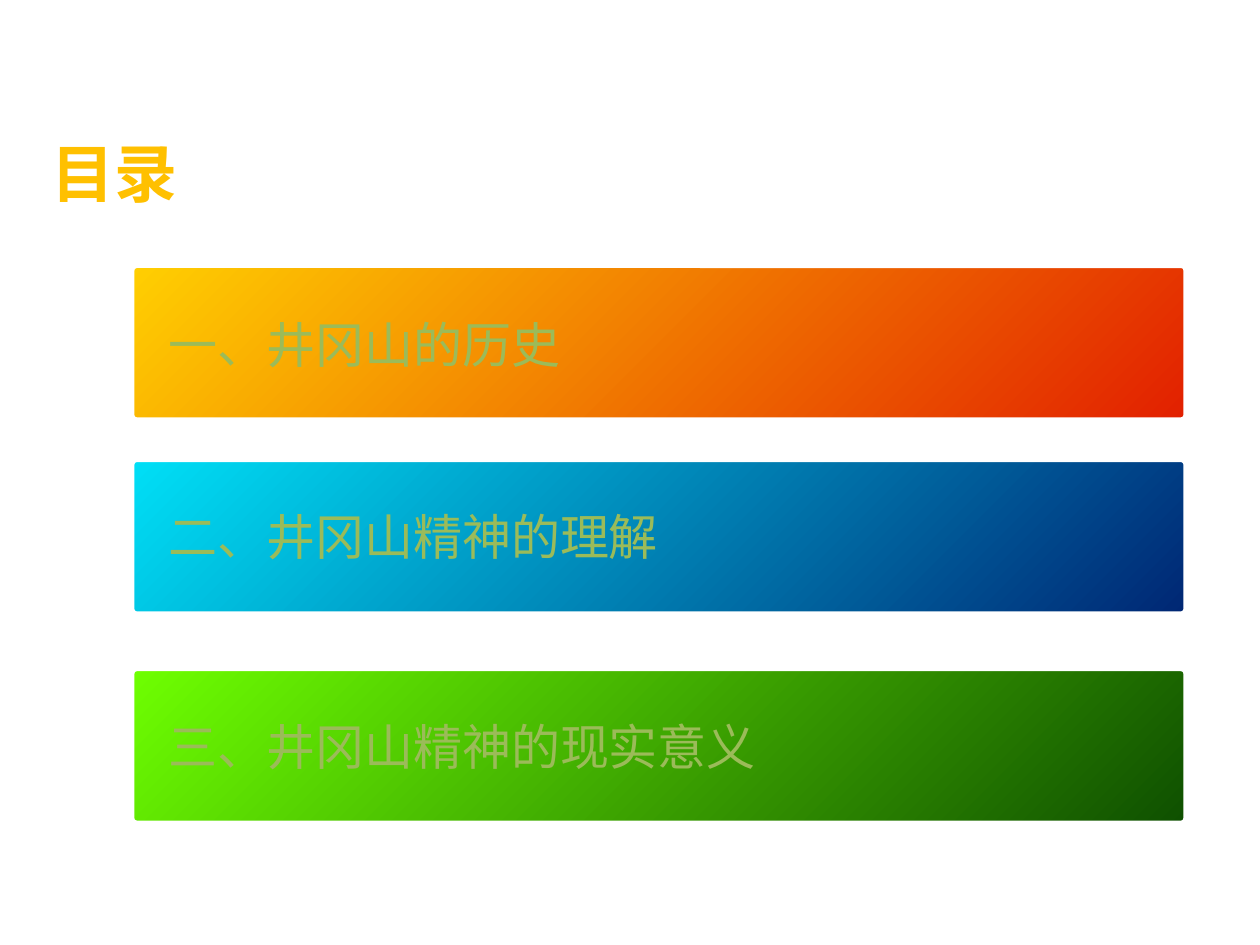
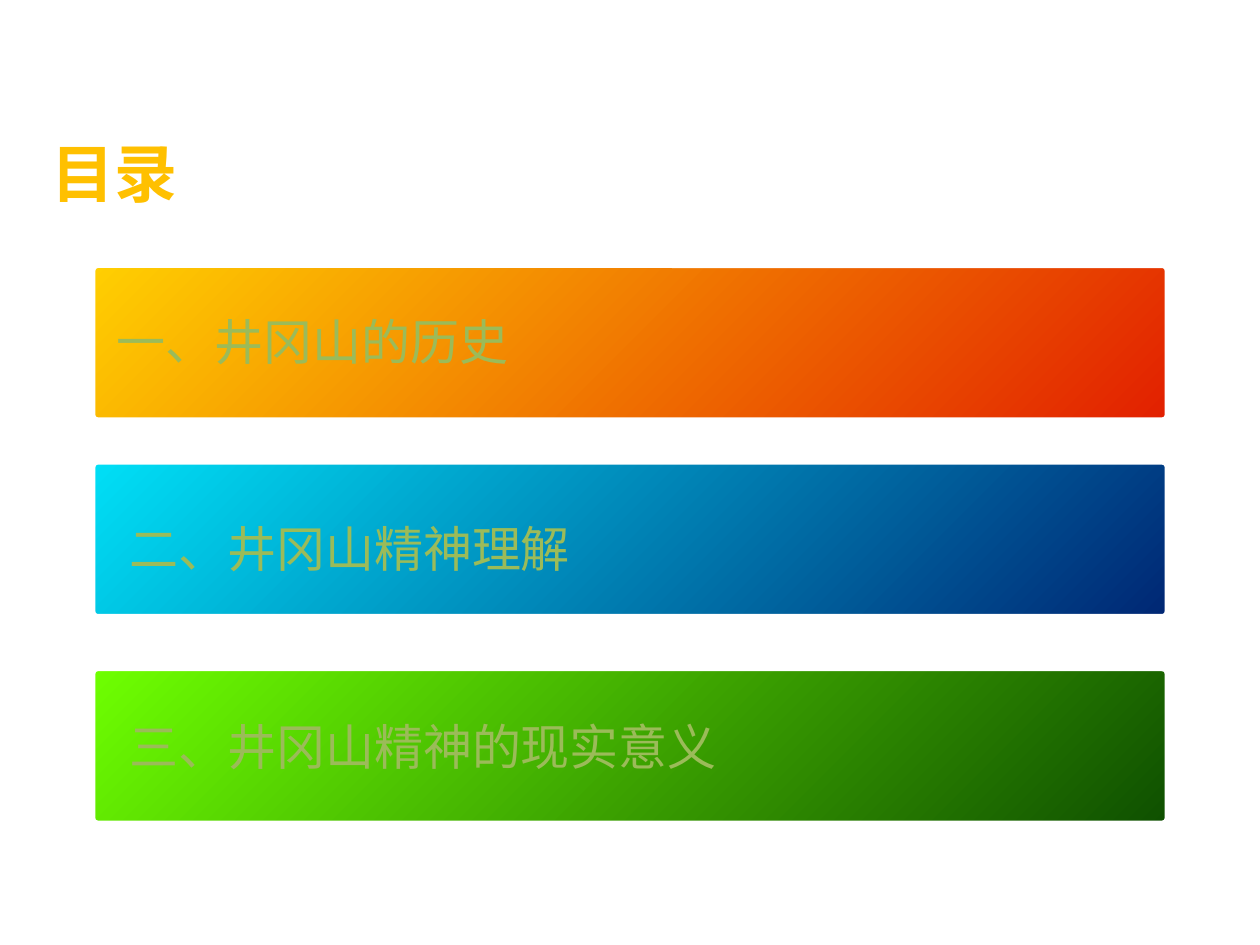
from lxml import etree
from pptx import Presentation
from pptx import util as u
from pptx.dml import color
from pptx.enum import shapes, text
from pptx.oxml import ns

FONT = "Noto Sans CJK SC"
BAND_HEIGHT = 1.22
GRADIENTS = [("FFCF01", "E22000"), ("00DFF6", "002774"), ("6EFF01", "0F5000")]
TITLE_FORMAT = {"size": u.Pt(36), "bold": True, "name": FONT}
ENTRY_FORMAT = {"size": u.Pt(28), "bold": False, "name": FONT}
FRAME_FORMAT = {
    "word_wrap": True,
    "auto_size": text.MSO_AUTO_SIZE.NONE,
    "vertical_anchor": text.MSO_ANCHOR.TOP,
}


def rgb(value):
    return color.RGBColor.from_string(value)


def write(box, wording, run_format, hex_color):
    for key, value in FRAME_FORMAT.items():
        setattr(box.text_frame, key, value)
    para = box.text_frame.paragraphs[0]
    para.alignment = text.PP_ALIGN.LEFT
    span = para.add_run()
    span.text = wording
    for key, value in run_format.items():
        setattr(span.font, key, value)
    span.font.color.rgb = rgb(hex_color)
    properties = span._r.get_or_add_rPr()
    etree.SubElement(properties, ns.qn("a:ea"), typeface=FONT)
    return properties


agendas = [
    {
        "left": 1.05,
        "width": 8.36,
        "text_width": 8.17,
        "entries": [
            ("一、井冈山的历史", 2.11, 1.24, 2.45, 0.59),
            ("二、井冈山精神的理解", 3.65, 1.24, 3.97, 0.56),
            ("三、井冈山精神的现实意义", 5.31, 1.24, 5.64, 0.57),
        ],
    },
    {
        "left": 0.74,
        "width": 8.52,
        "text_width": 8.33,
        "entries": [
            ("一、井冈山的历史", 2.11, 0.83, 2.42, 0.59),
            ("二、井冈山精神理解", 3.67, 0.93, 4.07, 0.56),
            ("三、井冈山精神的现实意义", 5.31, 0.93, 5.64, 0.57),
        ],
    },
]

deck = Presentation()
deck.slide_width, deck.slide_height = u.Inches(10), u.Inches(7.5)

for agenda in agendas:
    page = deck.slides.add_slide(deck.slide_layouts[5])
    title = page.shapes.title
    title.left, title.top = u.Inches(0.31), u.Inches(1.02)
    title.width, title.height = u.Inches(7.86), u.Inches(0.71)
    write(title, "目录", TITLE_FORMAT, "FFC000")
    title.text_frame.auto_size = text.MSO_AUTO_SIZE.SHAPE_TO_FIT_TEXT

    for entry, gradient in zip(agenda["entries"], GRADIENTS):
        wording, band_top, text_left, text_top, text_height = entry
        group = page.shapes.add_group_shape()
        band = group.shapes.add_shape(
            shapes.MSO_SHAPE.ROUNDED_RECTANGLE,
            u.Inches(agenda["left"]), u.Inches(band_top),
            u.Inches(agenda["width"]), u.Inches(BAND_HEIGHT),
        )
        band.adjustments[0] = 0.03
        band.shadow.inherit = False
        band.line.color.rgb = rgb("FFFFFF")
        band.line.width = u.Pt(2.5)
        band.fill.gradient()
        band.fill.gradient_angle = 315
        for stop, hex_color in zip(band.fill.gradient_stops, gradient):
            stop.color.rgb = rgb(hex_color)

        box = group.shapes.add_textbox(
            u.Inches(text_left), u.Inches(text_top),
            u.Inches(agenda["text_width"]), u.Inches(text_height),
        )
        properties = write(box, wording, ENTRY_FORMAT, "9BBB59")
        outline = etree.Element(ns.qn("a:ln"), w=str(u.Pt(1.5)))
        solid = etree.SubElement(outline, ns.qn("a:solidFill"))
        etree.SubElement(solid, ns.qn("a:srgbClr"), val="FEFEFE")
        properties.insert(0, outline)

deck.save("out.pptx")
